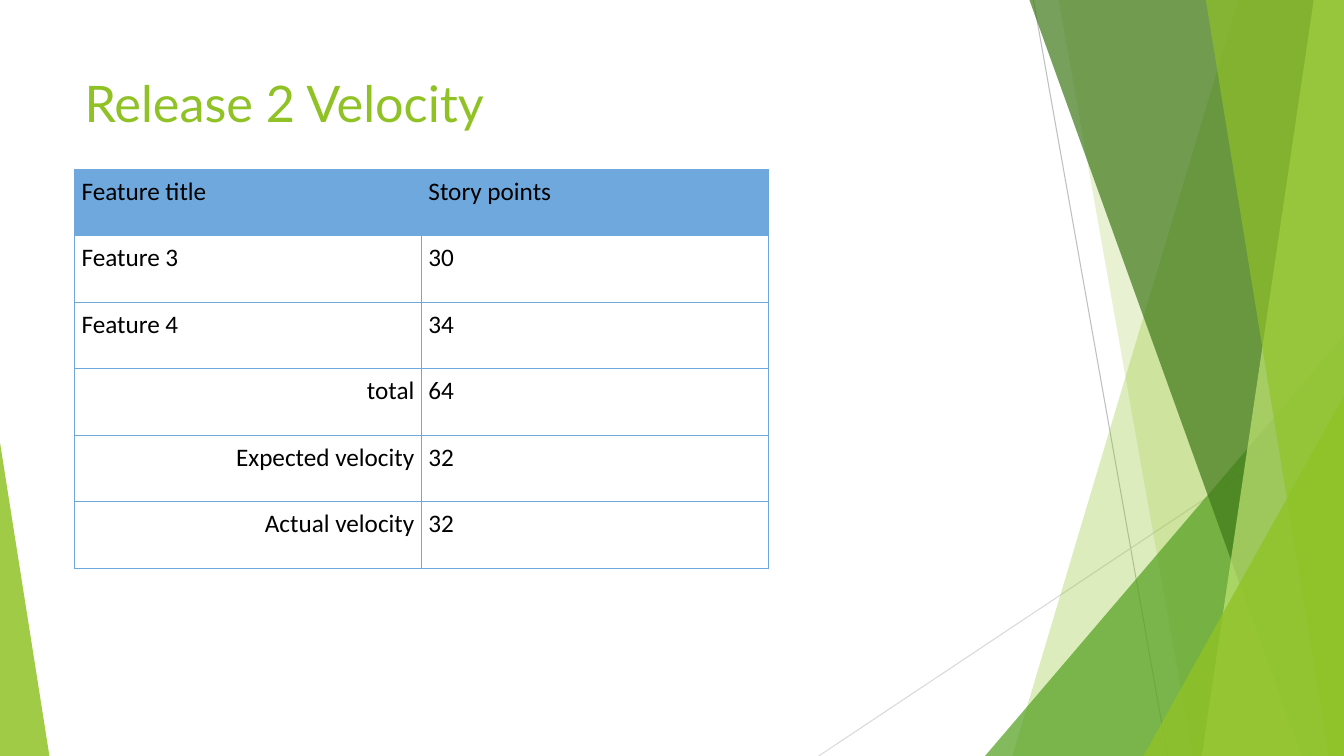
import pptx
import pptx.dml.color
import pptx.enum.shapes
import pptx.enum.text
import pptx.oxml
import pptx.oxml.ns
import pptx.util
from lxml import etree

Inches = pptx.util.Inches
Pt = pptx.util.Pt
RGBColor = pptx.dml.color.RGBColor

SLIDE_WIDTH, SLIDE_HEIGHT = 13.33, 7.5

THEME = {
    "title_font": "Lato", "title_size": 36,
    "table_font": "Calibri", "table_size": 18,
    "lime": "90C226", "green": "54A021", "forest": "3F7819", "pale": "C0E474",
    "table_blue": "6FA8DC", "text": "000000",
    "dark_rule": "BFBFBF", "light_rule": "D9D9D9", "line_width": 0.75,
}

TITLE = "Release 2 Velocity"
TITLE_BOX = (0.74, 0.67, 9.4, 1.44)

HEADER = ("Feature title", "Story points")
FEATURES = [("Feature 3", "30"), ("Feature 4", "34")]
SUMMARY = [("total", "64"), ("Expected velocity", "32"), ("Actual velocity", "32")]
TABLE_LEFT, TABLE_TOP = 0.74, 1.68
COLUMN_WIDTH, ROW_HEIGHT, CELL_MARGIN = 3.44, 0.66, 0.07

# start x, start y, end x, end y, colour
RULES = [
    (10.25, 0, 11.58, SLIDE_HEIGHT, "dark_rule"),
    (SLIDE_WIDTH, 4.03, 8.12, SLIDE_HEIGHT, "light_rule"),
]

# Back to front. A ribbon runs from its slanted left edge (top x, bottom x) to
# the right side of the slide; a corner is (left, top, width, apex position).
FACETS = [
    ("ribbon", (12.28, 10.04), "lime", 30),
    ("ribbon", (10.5, 11.83), "lime", 20),
    ("corner", (9.77, 3.33, 3.56, 1), "green", 72),
    ("ribbon", (10.21, 12.91), "forest", 70),
    ("ribbon", (13.03, 11.92), "pale", 70),
    ("ribbon", (11.96, 13.18), "lime", 65),
    ("corner", (11.34, 3.93, 1.99, 1), "lime", 80),
    ("corner", (0, 4.39, 0.49, 0), "lime", 85),
]


def color(name):
    return RGBColor.from_string(THEME[name])


def add_rule(slide, start_x, start_y, end_x, end_y, color_name):
    rule = slide.shapes.add_connector(
        pptx.enum.shapes.MSO_CONNECTOR.STRAIGHT,
        Inches(start_x), Inches(start_y), Inches(end_x), Inches(end_y))
    rule.line.color.rgb = color(color_name)
    rule.line.width = Pt(THEME["line_width"])
    etree.SubElement(rule._element.spPr, pptx.oxml.ns.qn("a:effectLst"))


def add_ribbon(slide, top_x, bottom_x):
    builder = slide.shapes.build_freeform(Inches(top_x), 0)
    builder.add_line_segments([
        (Inches(x), Inches(y)) for x, y in (
            (SLIDE_WIDTH, 0), (SLIDE_WIDTH, SLIDE_HEIGHT), (bottom_x, SLIDE_HEIGHT))
    ], close=True)
    return builder.convert_to_shape()


def add_corner(slide, left, top, width, apex):
    triangle = slide.shapes.add_shape(
        pptx.enum.shapes.MSO_SHAPE.ISOSCELES_TRIANGLE,
        Inches(left), Inches(top), Inches(width), Inches(SLIDE_HEIGHT - top))
    triangle.adjustments[0] = apex
    return triangle


def paint_facet(shape, color_name, opacity):
    shape.shadow.inherit = False
    shape.line.fill.background()
    shape.fill.solid()
    shape.fill.fore_color.rgb = color(color_name)
    srgb = shape._element.spPr.find(".//" + pptx.oxml.ns.qn("a:srgbClr"))
    etree.SubElement(srgb, pptx.oxml.ns.qn("a:alpha"), val=str(opacity * 1000))


def style_text(paragraph, role, color_name):
    paragraph.font.name = THEME[role + "_font"]
    paragraph.font.size = Pt(THEME[role + "_size"])
    paragraph.font.color.rgb = color(color_name)


def add_title(slide):
    box = slide.shapes.add_textbox(*map(Inches, TITLE_BOX))
    box.text_frame.word_wrap = True
    paragraph = box.text_frame.paragraphs[0]
    paragraph.text = TITLE
    style_text(paragraph, "title", "lime")


def add_cell_borders(cell):
    properties = cell._tc.get_or_add_tcPr()
    for side in ("lnL", "lnR", "lnT", "lnB"):
        properties.append(pptx.oxml.parse_xml(
            f'<a:{side} {pptx.oxml.ns.nsdecls("a")} w="{Pt(THEME["line_width"])}">'
            f'<a:solidFill><a:srgbClr val="{THEME["table_blue"]}"/></a:solidFill>'
            f'</a:{side}>'))


def add_velocity_table(slide):
    rows = [HEADER, *FEATURES, *SUMMARY]
    first_summary_row = 1 + len(FEATURES)
    table = slide.shapes.add_table(
        len(rows), len(HEADER), Inches(TABLE_LEFT), Inches(TABLE_TOP),
        Inches(COLUMN_WIDTH * len(HEADER)), Inches(ROW_HEIGHT * len(rows))).table
    table.first_row = table.horz_banding = False
    for column in table.columns:
        column.width = Inches(COLUMN_WIDTH)
    for row_index, values in enumerate(rows):
        table.rows[row_index].height = Inches(ROW_HEIGHT)
        for column_index, value in enumerate(values):
            cell = table.cell(row_index, column_index)
            cell.margin_left = cell.margin_right = Inches(CELL_MARGIN)
            cell.margin_top = cell.margin_bottom = Inches(CELL_MARGIN)
            add_cell_borders(cell)
            if row_index == 0:
                cell.fill.solid()
                cell.fill.fore_color.rgb = color("table_blue")
            else:
                cell.fill.background()
            paragraph = cell.text_frame.paragraphs[0]
            paragraph.text = value
            style_text(paragraph, "table", "text")
            if row_index >= first_summary_row and column_index == 0:
                paragraph.alignment = pptx.enum.text.PP_ALIGN.RIGHT


def main():
    presentation = pptx.Presentation()
    presentation.slide_width = Inches(SLIDE_WIDTH)
    presentation.slide_height = Inches(SLIDE_HEIGHT)
    slide = presentation.slides.add_slide(presentation.slide_layouts[6])
    for rule in RULES:
        add_rule(slide, *rule)
    builders = {"ribbon": add_ribbon, "corner": add_corner}
    for kind, geometry, color_name, opacity in FACETS:
        paint_facet(builders[kind](slide, *geometry), color_name, opacity)
    add_title(slide)
    add_velocity_table(slide)
    presentation.save("out.pptx")


if __name__ == "__main__":
    main()
